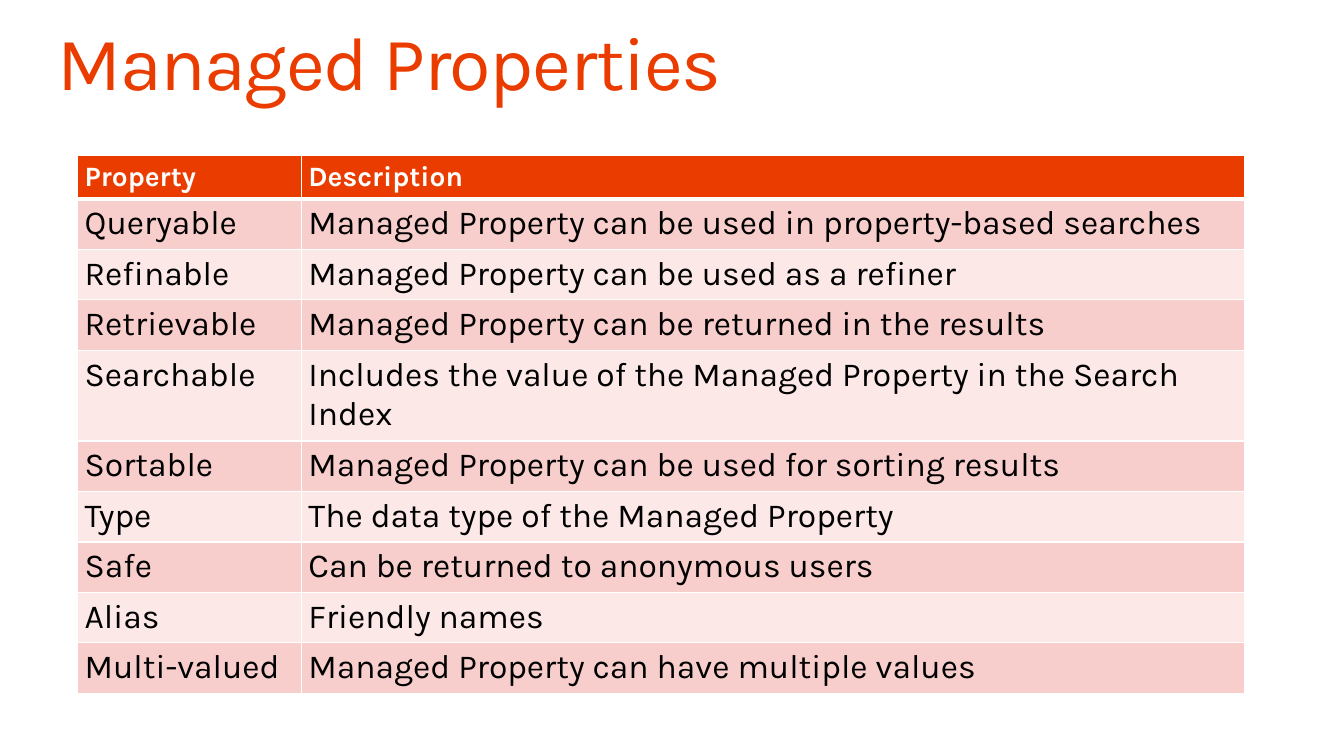
import pptx
import pptx.dml.color
import pptx.enum.text
import pptx.oxml
import pptx.oxml.ns
import pptx.util
from pptx.util import Inches

ACCENT = "EB3C00"
WHITE = "FFFFFF"
BANDS = ("F7CECC", "FBE8E7")
COLUMN_WIDTHS = (2.22, 9.35)
HEADER_HEIGHT = 0.42
ROW_HEIGHT = 0.49
PROPERTIES = [
    ("Property", "Description"),
    ("Queryable", "Managed Property can be used in property-based searches"),
    ("Refinable", "Managed Property can be used as a refiner"),
    ("Retrievable", "Managed Property can be returned in the results"),
    ("Searchable", "Includes the value of the Managed Property in the Search Index"),
    ("Sortable", "Managed Property can be used for sorting results"),
    ("Type", "The data type of the Managed Property"),
    ("Safe", "Can be returned to anonymous users"),
    ("Alias", "Friendly names"),
    ("Multi-valued", "Managed Property can have multiple values"),
]


def rgb(value):
    return pptx.dml.color.RGBColor.from_string(value)


class SlideBuilder:
    """Draws styled elements on the current slide."""

    def __init__(self, slide, font="Karla"):
        self.slide = slide
        self.font = font

    def style(self, paragraph, size, color, bold=False):
        for run in paragraph.runs:
            run.font.name = self.font
            run.font.size = pptx.util.Pt(size)
            run.font.bold = bold
            run.font.color.rgb = rgb(color)

    def title(self, text, left, top, width, height):
        shape = self.slide.shapes.add_textbox(
            Inches(left), Inches(top), Inches(width), Inches(height))
        frame = shape.text_frame
        frame.word_wrap = True
        frame.vertical_anchor = pptx.enum.text.MSO_ANCHOR.TOP
        frame.margin_left = frame.margin_right = 0
        frame.margin_top = frame.margin_bottom = 0
        frame.text = text
        paragraph = frame.paragraphs[0]
        paragraph.line_spacing = 0.9
        self.style(paragraph, 54, ACCENT)
        paragraph.runs[0].font._element.set("spc", "-100")

    def borders(self, cell, top, bottom):
        properties = cell._tc.get_or_add_tcPr()
        for side, points in (("L", 1), ("R", 1), ("T", top), ("B", bottom)):
            properties.append(pptx.oxml.parse_xml(
                f'<a:ln{side} {pptx.oxml.ns.nsdecls("a")} w="{pptx.util.Pt(points)}">'
                f'<a:solidFill><a:srgbClr val="{WHITE}"/></a:solidFill></a:ln{side}>'))

    def cell(self, cell, text, row):
        header = row == 0
        self.borders(cell, 3 if row == 1 else 1, 3 if header else 1)
        cell.fill.solid()
        cell.fill.fore_color.rgb = rgb(ACCENT if header else BANDS[(row - 1) % 2])
        cell.margin_left = cell.margin_right = Inches(0.07)
        cell.margin_top = cell.margin_bottom = Inches(0.05)
        cell.text_frame.text = text
        self.style(cell.text_frame.paragraphs[0], 20 if header else 24,
                   WHITE if header else "000000", header)

    def table(self, rows, left, top):
        height = HEADER_HEIGHT + ROW_HEIGHT * (len(rows) - 1)
        table = self.slide.shapes.add_table(
            len(rows), len(COLUMN_WIDTHS), Inches(left), Inches(top),
            Inches(sum(COLUMN_WIDTHS)), Inches(height)).table
        for column, width in zip(table.columns, COLUMN_WIDTHS):
            column.width = Inches(width)
        for row, texts in enumerate(rows):
            table.rows[row].height = Inches(ROW_HEIGHT if row else HEADER_HEIGHT)
            for column, text in enumerate(texts):
                self.cell(table.cell(row, column), text, row)


def main():
    presentation = pptx.Presentation()
    presentation.slide_width = Inches(13.33)
    presentation.slide_height = Inches(7.5)
    slide = presentation.slides.add_slide(presentation.slide_layouts[6])
    builder = SlideBuilder(slide)
    builder.title("Managed Properties", 0.57, 0.25, 12.19, 0.82)
    builder.table(PROPERTIES, 0.77, 1.54)
    presentation.save("out.pptx")


if __name__ == "__main__":
    main()
